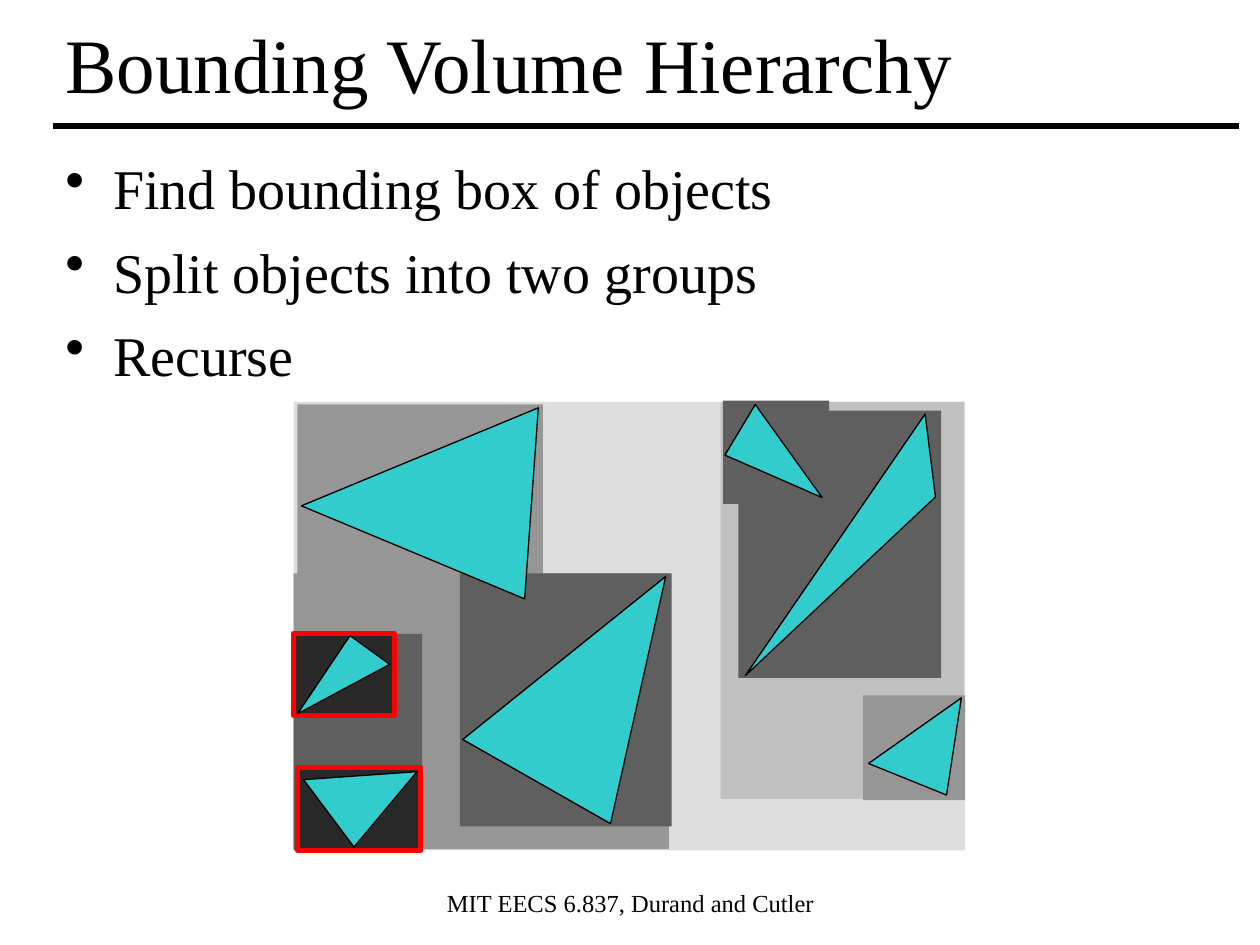
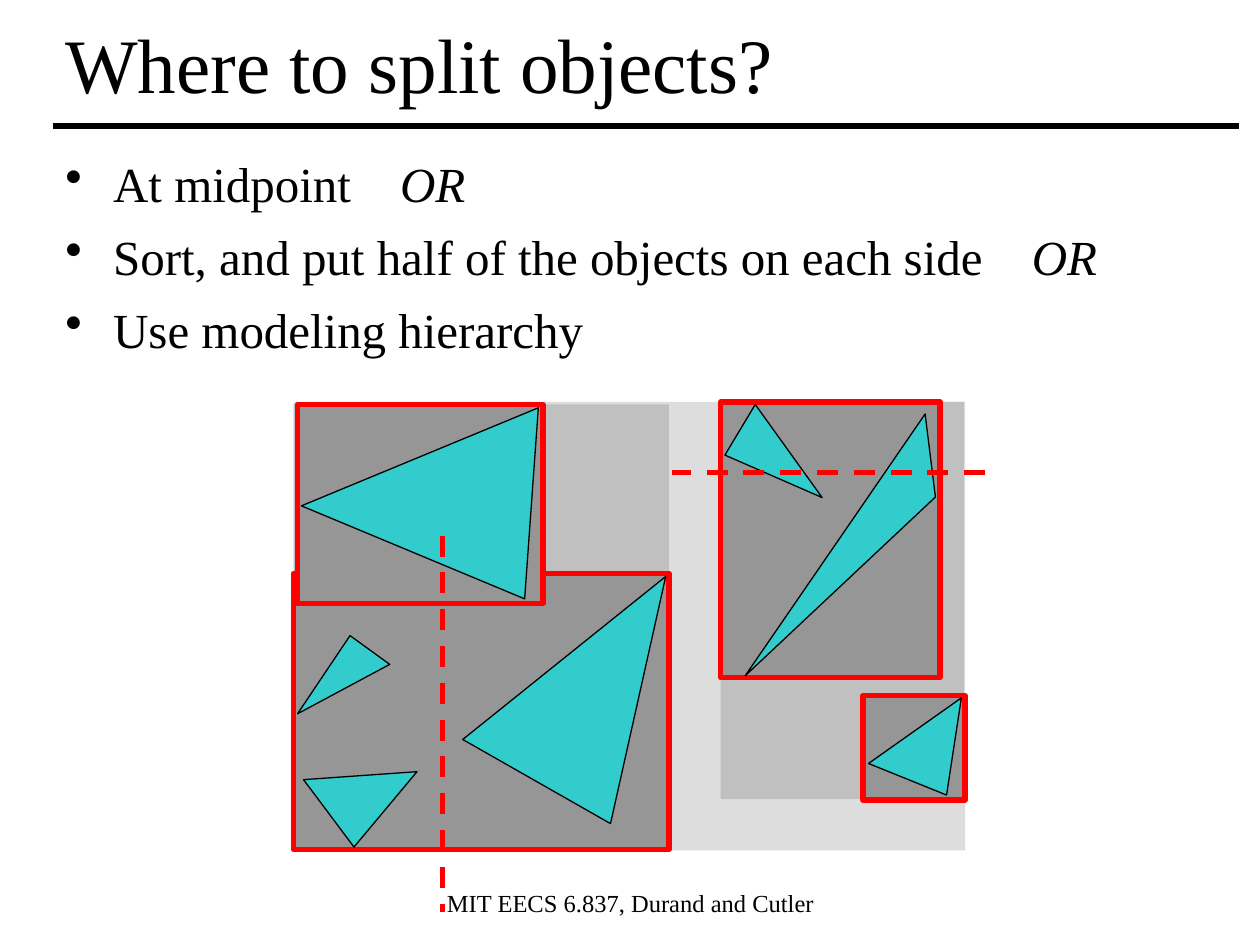
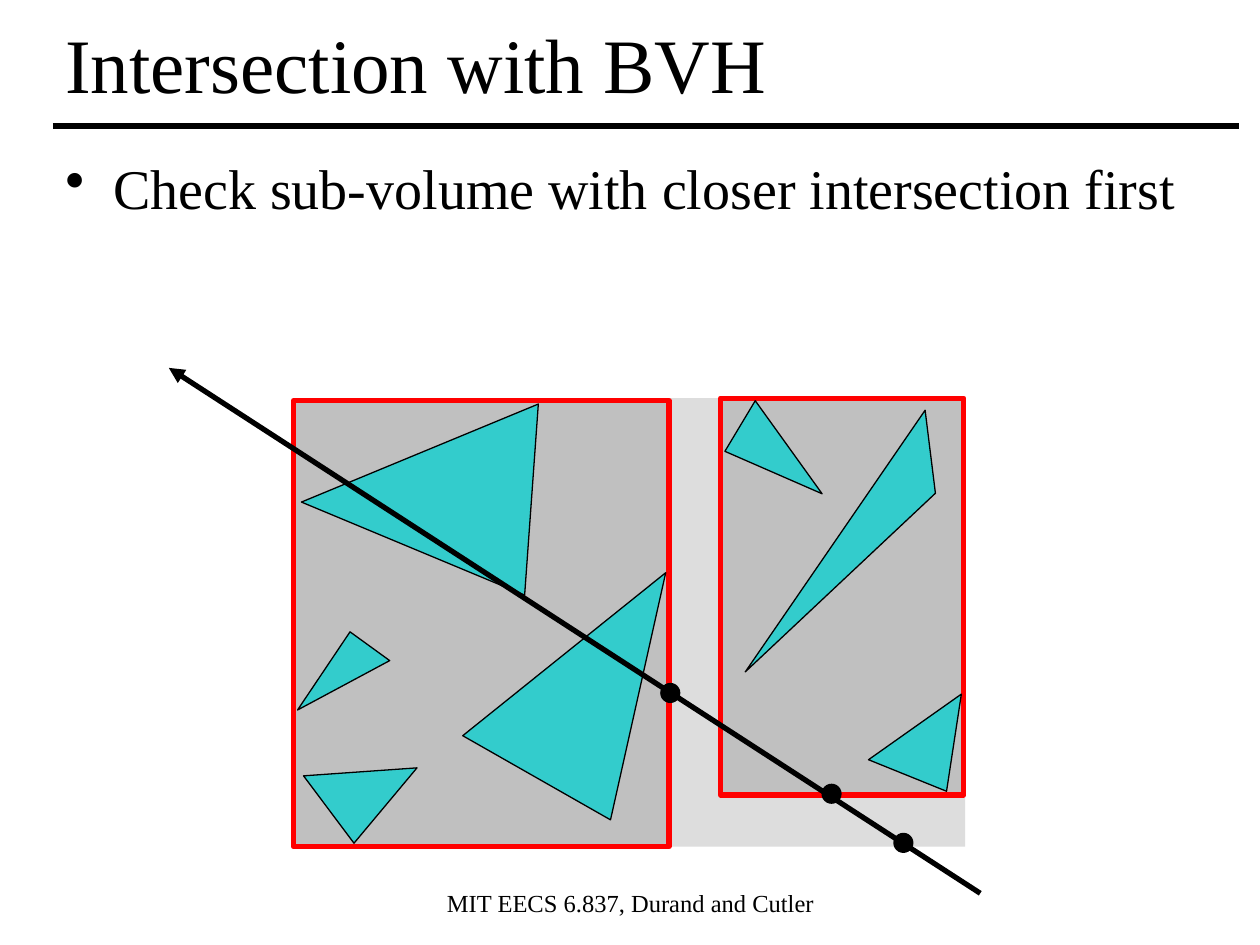
"""Build three slides on bounding volume hierarchies."""
from lxml.etree import SubElement
from pptx import Presentation
from pptx.dml.color import RGBColor
from pptx.enum.dml import MSO_LINE as Dash
from pptx.enum.shapes import MSO_CONNECTOR as Link, MSO_SHAPE as Shape
from pptx.enum.text import MSO_ANCHOR as Anchor, PP_ALIGN as Align
from pptx.oxml.ns import qn
from pptx.util import Inches, Pt

BLACK = RGBColor(0x00, 0x00, 0x00)
RED = RGBColor(0xFF, 0x00, 0x00)
TEAL = RGBColor(0x33, 0xCC, 0xCC)
PALE = RGBColor(0xDD, 0xDD, 0xDD)
LIGHT = RGBColor(0xC0, 0xC0, 0xC0)
MID = RGBColor(0x96, 0x96, 0x96)
DARK = RGBColor(0x5F, 0x5F, 0x5F)
DEEP = RGBColor(0x29, 0x29, 0x29)

FONT = "Times New Roman"
FOOTER = "MIT EECS 6.837, Durand and Cutler"
EDGE = 0.42
LIFT = -0.03
DOT = 0.16

SCENE = (2.33, 3.19, 5.33, 3.56)
LEFT = (2.33, 3.21, 2.98, 3.54)
RIGHT = (5.72, 3.19, 1.93, 3.15)
LOWER = (2.33, 4.55, 2.98, 2.19)
UPPER = (2.36, 3.21, 1.95, 1.58)
PAIR = (5.72, 3.19, 1.74, 2.19)
CORNER = (6.85, 5.52, 0.81, 0.83)
SLIVER = (5.86, 3.26, 1.61, 2.12)
CENTER = (3.65, 4.55, 1.68, 2.01)
STACK = (2.33, 5.03, 1.02, 1.72)
TOP = (5.74, 3.18, 0.84, 0.82)
SMALL = (2.33, 5.03, 0.8, 0.65)
BASE = (2.36, 6.09, 0.98, 0.66)

TRIANGLES = [
    ((5.55, 4.23, 2.52, 0.44), 304.5, 0.803, "flipV"),
    ((2.55, 3.02, 1.52, 1.82), 274.1, 0.599, "flipH"),
    ((3.43, 4.77, 2.01, 1.29), 282.6, 0.197, None),
    ((6.86, 5.55, 0.78, 0.65), 278.7, 0.197, None),
    ((5.63, 3.49, 0.91, 0.43), 234.3, 0.796, None),
    ((2.23, 5.14, 0.83, 0.35), 331.8, 0.796, None),
    ((2.42, 5.89, 0.78, 0.65), 309.9, 0.197, None),
]


def add_form(slide, kind, place, fill, line=None, width=3, lift=0):
    """Add a filled preset shape, with an outline if a line colour is given."""
    x, y, w, h = place
    form = slide.shapes.add_shape(kind, Inches(x), Inches(y + lift), Inches(w), Inches(h))
    form.shadow.inherit = False
    form.fill.solid()
    form.fill.fore_color.rgb = fill
    if line is None:
        form.line.fill.background()
    else:
        form.line.color.rgb = line
        form.line.width = Pt(width)
    return form


def add_boxes(slide, boxes, fill, line=None, lift=0):
    """Add bounding boxes that share one style."""
    for box in boxes:
        add_form(slide, Shape.RECTANGLE, box, fill, line, lift=lift)


def add_scene(slide, lift=0):
    """Add the seven triangles of the scene."""
    for place, turn, peak, flip in TRIANGLES:
        form = add_form(slide, Shape.ISOSCELES_TRIANGLE, place, TEAL, BLACK, 0.75, lift)
        form.adjustments[0] = peak
        form.rotation = turn
        if flip:
            form.element.spPr.find(qn("a:xfrm")).set(flip, "1")


def add_line(slide, start, end, color=BLACK, dash=None, arrow=False):
    """Add a straight line, dashed or with an arrowhead if asked."""
    points = [Inches(value) for value in (*start, *end)]
    line = slide.shapes.add_connector(Link.STRAIGHT, *points)
    line.line.color.rgb = color
    line.line.width = Pt(3)
    if dash:
        line.line.dash_style = dash
    if arrow:
        SubElement(line.line._get_or_add_ln(), qn("a:tailEnd"), type="triangle")
    SubElement(line.element.spPr, qn("a:effectLst"))


def add_frame(slide, place, anchor=Anchor.TOP):
    """Add a wrapping text box and return its text frame."""
    frame = slide.shapes.add_textbox(*map(Inches, place)).text_frame
    frame.word_wrap = True
    frame.vertical_anchor = anchor
    return frame


def add_run(para, text, size, **style):
    """Add a run of black text in the deck font."""
    run = para.add_run()
    run.text = text
    run.font.color.rgb = BLACK
    for key, value in {"name": FONT, "size": Pt(size), **style}.items():
        setattr(run.font, key, value)
    return run


def add_list(slide, items, size):
    """Add bullets; an item may be a pair of text and spaced italic word."""
    frame = add_frame(slide, (EDGE, 1.17, 9.23, 5.74))
    for index, item in enumerate(items):
        para = frame.add_paragraph() if index else frame.paragraphs[0]
        para.space_before = Pt(size * 0.29 if index else 0)
        props = para._p.get_or_add_pPr()
        for key, inset in {"marL": 0.38, "indent": -0.38}.items():
            props.set(key, str(Inches(inset)))
        SubElement(props, qn("a:buChar"), char="•")
        text, word = item if isinstance(item, tuple) else (item, None)
        add_run(para, text, size)
        if word:
            gap = add_run(para, " ", size)
            gap.font._element.set("spc", str(size * 75))
            add_run(para, word, size, italic=True)


def add_page(deck, title):
    """Add a blank slide with the shared title, rule and footer."""
    slide = deck.slides.add_slide(deck.slide_layouts[6])
    foot = add_frame(slide, (3.42, 7, 3.17, 0.57)).paragraphs[0]
    foot.alignment = Align.CENTER
    add_run(foot, FOOTER, 14)
    add_line(slide, (EDGE, 1), (9.83, 1))
    head = add_frame(slide, (EDGE, 0, 9.41, 0.99), Anchor.MIDDLE)
    add_run(head.paragraphs[0], title, 44)
    return slide


def add_build(deck):
    """Show the full hierarchy of boxes."""
    slide = add_page(deck, "Bounding Volume Hierarchy")
    add_list(slide, ["Find bounding box of objects", "Split objects into two groups", "Recurse"], 32)
    add_boxes(slide, [SCENE], PALE)
    add_boxes(slide, [RIGHT], LIGHT)
    add_boxes(slide, [LOWER, UPPER, CORNER], MID)
    add_boxes(slide, [SLIVER, CENTER, STACK, TOP], DARK)
    add_boxes(slide, [SMALL, BASE], DEEP, RED)
    add_scene(slide)


def add_split(deck):
    """Show where each half is split."""
    slide = add_page(deck, "Where to split objects?")
    items = [
        ("At midpoint", "OR"),
        ("Sort, and put half of the objects on each side", "OR"),
        "Use modeling hierarchy",
    ]
    add_list(slide, items, 28)
    add_boxes(slide, [SCENE], PALE)
    add_boxes(slide, [RIGHT, LEFT], LIGHT)
    add_boxes(slide, [LOWER, PAIR, UPPER, CORNER], MID, RED)
    add_scene(slide)
    for start, end in [((7.82, 3.75), (5.33, 3.75)), ((3.51, 4.25), (3.51, 7.24))]:
        add_line(slide, start, end, RED, Dash.DASH)


def add_trace(deck):
    """Show a ray that crosses both halves."""
    slide = add_page(deck, "Intersection with BVH")
    add_list(slide, ["Check sub-volume with closer intersection first"], 32)
    add_boxes(slide, [SCENE], PALE, lift=LIFT)
    add_boxes(slide, [LEFT, RIGHT], LIGHT, RED, LIFT)
    add_scene(slide, LIFT)
    add_line(slide, (7.78, 7.09), (1.34, 2.92), arrow=True)
    for x, y in [(5.24, 5.42), (6.52, 6.22), (7.09, 6.61)]:
        add_form(slide, Shape.OVAL, (x, y, DOT, DOT), BLACK)


def main():
    """Build and save the deck."""
    deck = Presentation()
    deck.slide_width = Inches(10)
    deck.slide_height = Inches(7.5)
    for build in (add_build, add_split, add_trace):
        build(deck)
    deck.save("out.pptx")


if __name__ == "__main__":
    main()
